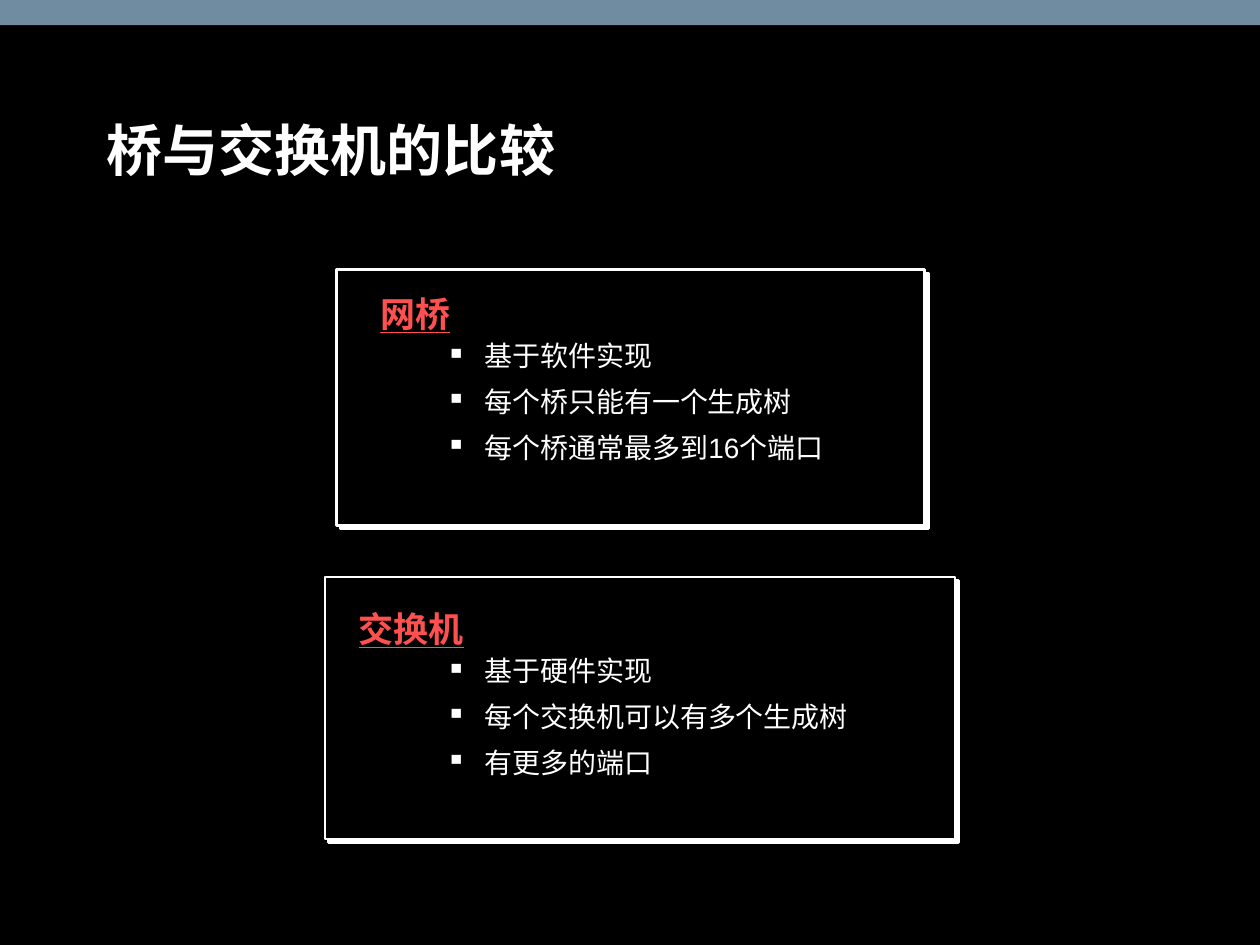
"""Build the slide comparing bridges and switches."""
from lxml import etree
from pptx import Presentation, util as u
from pptx.dml.color import RGBColor
from pptx.enum import shapes, text
from pptx.oxml import ns

COLORS = {"ground": "000000", "ink": "FFFFFF", "band": "708CA1", "heading": "FF5050"}

deck = Presentation()
deck.slide_width, deck.slide_height = u.Inches(10), u.Inches(7.5)
slide = deck.slides.add_slide(deck.slide_layouts[6])
slide.background.fill.solid()
slide.background.fill.fore_color.rgb = RGBColor.from_string(COLORS["ground"])


def add_panel(area, color):
    panel = slide.shapes.add_shape(shapes.MSO_SHAPE.RECTANGLE, *map(u.Inches, area))
    panel.shadow.inherit = False
    panel.fill.solid()
    panel.fill.fore_color.rgb = RGBColor.from_string(COLORS[color])
    panel.line.fill.background()
    return panel


def add_lines(area, lines, size, color, font="Arial", bold=False, inset=0.05):
    frame = slide.shapes.add_textbox(*map(u.Inches, area)).text_frame
    frame.word_wrap = True
    frame.margin_top = frame.margin_bottom = u.Inches(inset)
    frame.text = "\n".join(lines)
    for paragraph in frame.paragraphs:
        paragraph.font.size = u.Pt(size)
        paragraph.font.name = font
        paragraph.font.bold = bold
        paragraph.font.color.rgb = RGBColor.from_string(COLORS[color])
    return frame


add_panel((0, 0, 10, 0.2), "band")

title = add_lines((0.75, 0.25, 8.34, 1.25), ["桥与交换机的比较"], 32, "ink", bold=True, inset=0.04)
title.vertical_anchor = text.MSO_ANCHOR.BOTTOM
title.paragraphs[0].line_spacing = 0.9

devices = [
    ("网桥", (2.67, 2.14, 4.67, 2.03), (2.92, 2.27, 1.45, 0.43), (3.44, 2.66, 3.44, 1.25),
     ["基于软件实现", "每个桥只能有一个生成树", "每个桥通常最多到16个端口"]),
    ("交换机", (2.58, 4.58, 5, 2.08), (2.75, 4.77, 2.83, 0.43), (3.44, 5.16, 3.75, 1.48),
     ["基于硬件实现", "每个交换机可以有多个生成树", "有更多的端口"]),
]
for device, panel_area, heading_area, list_area, features in devices:
    panel = add_panel(panel_area, "ground")
    panel.line.color.rgb = RGBColor.from_string(COLORS["ink"])
    panel.line.width = u.Pt(1.5)
    effects = panel._element.spPr.find(ns.qn("a:effectLst"))
    shadow = etree.SubElement(effects, ns.qn("a:outerShdw"), dist=str(u.Pt(2.8)),
                              dir=str(45 * 60000), algn="ctr", rotWithShape="0")
    etree.SubElement(shadow, ns.qn("a:srgbClr"), val=COLORS["ink"])

    heading = add_lines(heading_area, [device], 20, "heading", "Roboto", True)
    heading.paragraphs[0].font.underline = True

    feature_list = add_lines(list_area, features, 16, "ink")
    for row, paragraph in enumerate(feature_list.paragraphs):
        paragraph.line_spacing = 0.95
        properties = paragraph._p.get_or_add_pPr()
        properties.set("marL", str(u.Inches(0.31)))
        properties.set("indent", str(-u.Inches(0.31)))
        bullet_color = etree.Element(ns.qn("a:buClr"))
        etree.SubElement(bullet_color, ns.qn("a:srgbClr"), val=COLORS["ink"])
        bullet = etree.Element(ns.qn("a:buChar"), char="▪")
        font_defaults = properties.find(ns.qn("a:defRPr"))
        if row:
            gap = etree.Element(ns.qn("a:spcBef"))
            etree.SubElement(gap, ns.qn("a:spcPct"), val="50000")
            font_defaults.addprevious(gap)
        font_defaults.addprevious(bullet_color)
        font_defaults.addprevious(bullet)

deck.save("out.pptx")
